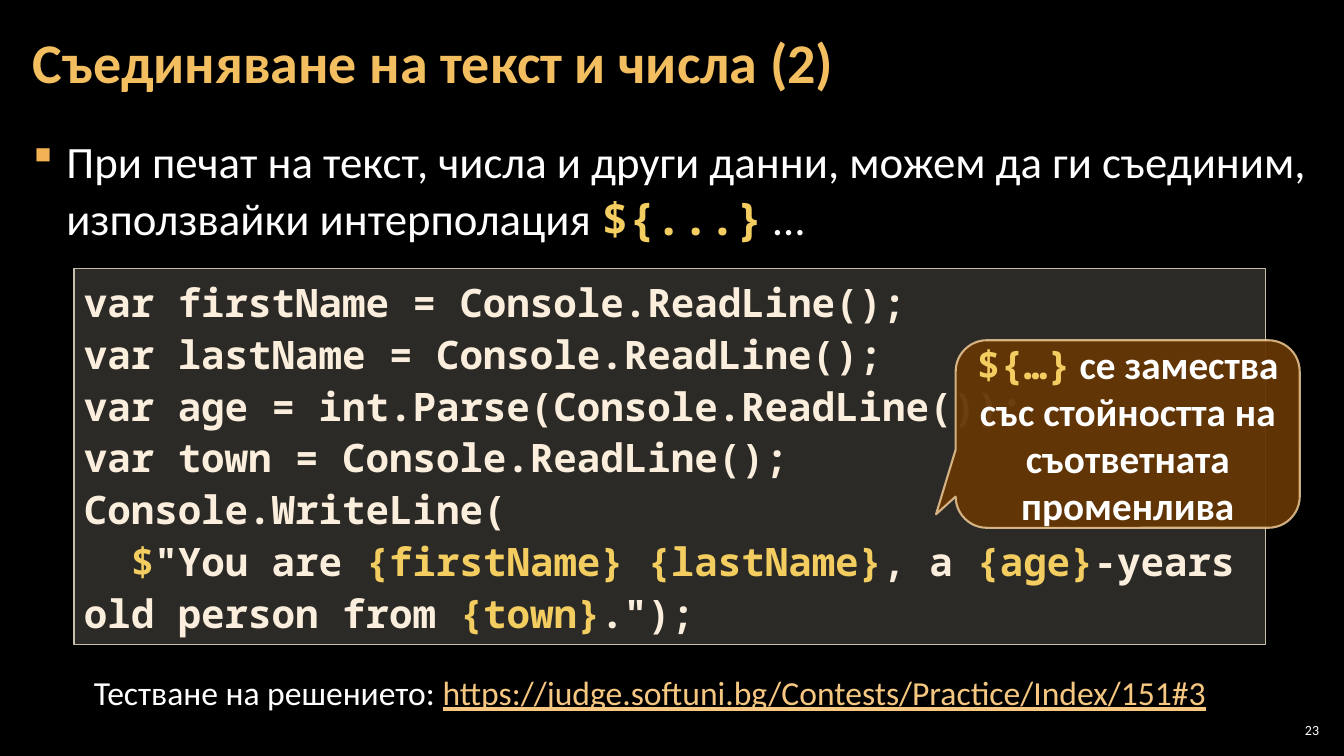
from lxml import etree
from pptx import Presentation
from pptx.dml.color import RGBColor
from pptx.enum.shapes import MSO_SHAPE
from pptx.enum.text import MSO_ANCHOR, PP_ALIGN
from pptx.oxml.ns import qn
from pptx.util import Pt

RECTANGLE = MSO_SHAPE.RECTANGLE
CALLOUT = MSO_SHAPE.ROUNDED_RECTANGULAR_CALLOUT
TOP, MIDDLE = MSO_ANCHOR.TOP, MSO_ANCHOR.MIDDLE
LEFT, CENTER, RIGHT = PP_ALIGN.LEFT, PP_ALIGN.CENTER, PP_ALIGN.RIGHT

SANS, MONO = "Calibri", "Noto Sans Mono"
WHITE, CREAM, GOLD = "FFFFFF", "FBEEDC", "F3CD60"
KEY = {"font": MONO, "color": GOLD, "bold": True}
MARK = {"color": GOLD}

TITLE = [["Съединяване на текст и числа (2)"]]
INTRO = [[
    "При печат на текст, числа и други данни, можем да ги съединим, използвайки интерполация ",
    ("${...}", KEY),
    " …",
]]
CODE = [
    ["var firstName = Console.ReadLine();"],
    ["var lastName = Console.ReadLine();"],
    ["var age = int.Parse(Console.ReadLine());"],
    ["var town = Console.ReadLine();"],
    ["Console.WriteLine("],
    ["  ", ("$", MARK), '"You are ', ("{firstName} {lastName}", MARK), ", a ",
     ("{age}", MARK), "-years old person from ", ("{town}", MARK), '.");'],
]
REMARK = [
    [("${…}", KEY), " се замества със стойността на"],
    ["съответната променлива"],
]
TESTING = [[
    "Тестване на решението: ",
    ("https://judge.softuni.bg/Contests/Practice/Index/151#3",
     {"color": "F6C781", "underline": True}),
]]
PAGE = [["23"]]


def rgb(value):
    return RGBColor.from_string(value)


def place(shape, left, top, width, height):
    shape.left, shape.top = Pt(left), Pt(top)
    shape.width, shape.height = Pt(width), Pt(height)


def write(shape, paragraphs, size, font=SANS, color=WHITE, bold=False, align=LEFT,
          anchor=TOP, spacing=1.0, insets=(7.2, 3.6)):
    frame = shape.text_frame
    frame.word_wrap = True
    frame.vertical_anchor = anchor
    frame.margin_left = frame.margin_right = Pt(insets[0])
    frame.margin_top = frame.margin_bottom = Pt(insets[1])
    for index, pieces in enumerate(paragraphs):
        paragraph = frame.add_paragraph() if index else frame.paragraphs[0]
        paragraph.alignment = align
        paragraph.line_spacing = spacing
        for piece in pieces:
            text, special = (piece, {}) if isinstance(piece, str) else piece
            run = paragraph.add_run()
            run.text = text
            run.font.size = Pt(size)
            run.font.name = special.get("font", font)
            run.font.bold = special.get("bold", bold)
            run.font.underline = special.get("underline", False)
            run.font.color.rgb = rgb(special.get("color", color))


def add_bullet(paragraph, symbol, font, color, indent):
    properties = paragraph._p.get_or_add_pPr()
    properties.set("marL", str(Pt(indent)))
    properties.set("indent", str(-Pt(indent)))
    bullet_color = etree.SubElement(properties, qn("a:buClr"))
    etree.SubElement(bullet_color, qn("a:srgbClr")).set("val", color)
    bullet_font = etree.SubElement(properties, qn("a:buFont"))
    bullet_font.set("typeface", font)
    bullet_font.set("charset", "2")
    etree.SubElement(properties, qn("a:buChar")).set("char", symbol)


def set_alpha(paint, percent):
    color = paint._xPr.find(qn("a:solidFill"))[0]
    etree.SubElement(color, qn("a:alpha")).set("val", str(percent * 1000))


def add_panel(kind, box, fill, fill_alpha, line, line_width, line_alpha=100):
    panel = slide.shapes.add_shape(kind, *(Pt(length) for length in box))
    panel.shadow.inherit = False
    panel.fill.solid()
    panel.fill.fore_color.rgb = rgb(fill)
    set_alpha(panel.fill, fill_alpha)
    panel.line.color.rgb = rgb(line)
    panel.line.width = Pt(line_width)
    set_alpha(panel.line.fill, line_alpha)
    return panel


def add_text(box, paragraphs, size, **look):
    text = slide.shapes.add_textbox(*(Pt(length) for length in box))
    write(text, paragraphs, size, **look)
    return text


deck = Presentation()
deck.slide_width, deck.slide_height = Pt(960), Pt(540)
slide = deck.slides.add_slide(deck.slide_layouts[5])
slide.background.fill.solid()
slide.background.fill.fore_color.rgb = rgb("000000")

title = slide.shapes.title
place(title, 15, 3, 754, 87)
write(title, TITLE, 40, color="F3BE60", bold=True, anchor=MIDDLE, spacing=0.9, insets=(8.5, 2.8))

intro = add_text((15, 91, 930, 90), INTRO, 32, spacing=1.05, insets=(8.5, 2.8))
add_bullet(intro.text_frame.paragraphs[0], "§", "Wingdings", "F2B254", 24)

code = add_panel(RECTANGLE, (52.8, 192, 851, 268.6), "D9D5C7", 20, "C7BFAC", 1)
write(code, CODE, 28, font=MONO, color=CREAM, bold=True, spacing=1.1)

add_text((60, 476.5, 840, 36), TESTING, 24)

remark = add_panel(CALLOUT, (682.6, 243, 245.8, 134), "663606", 95, "F8D49E", 1.5, 80)
for index, ratio in enumerate((-0.557, 0.428, 0.167)):
    remark.adjustments[index] = ratio
write(remark, REMARK, 28, bold=True, align=CENTER, anchor=MIDDLE)

add_text((911, 514, 34, 15), PAGE, 10, align=RIGHT, anchor=MIDDLE, insets=(2.8, 2.8))

deck.save("out.pptx")
